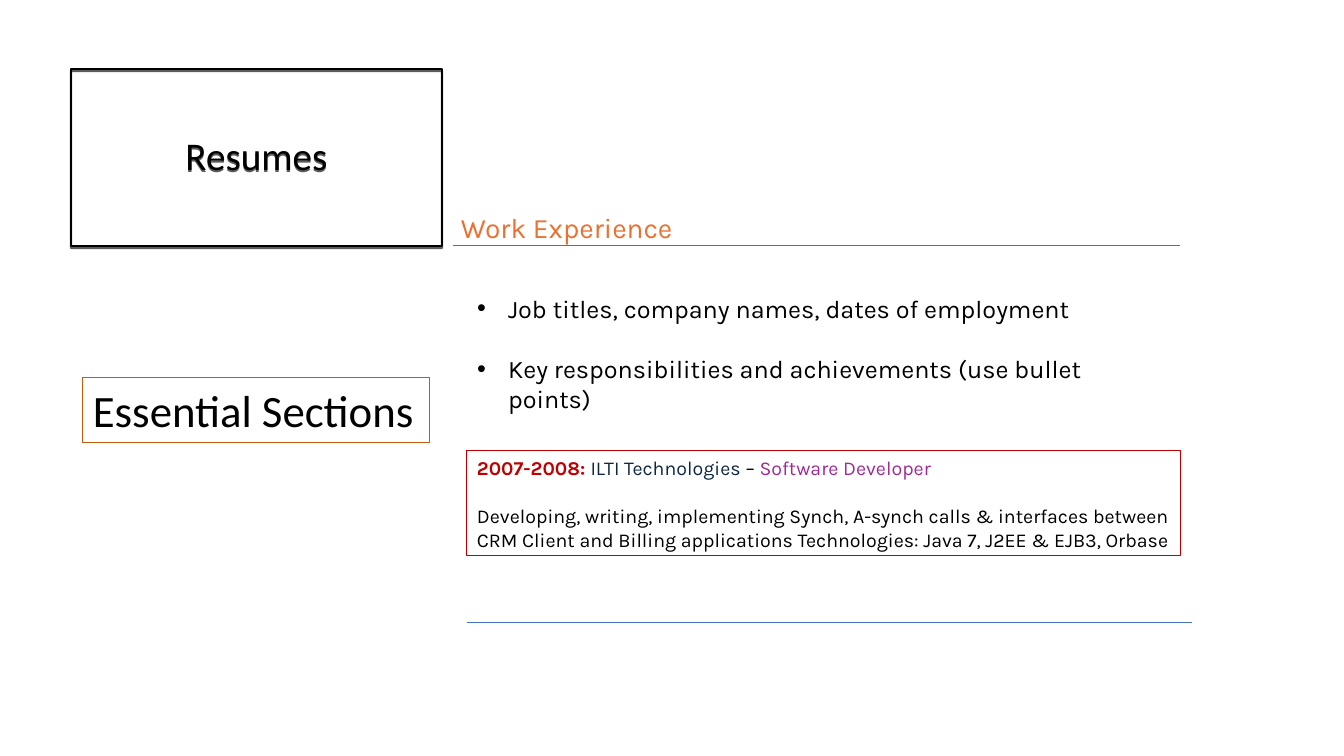
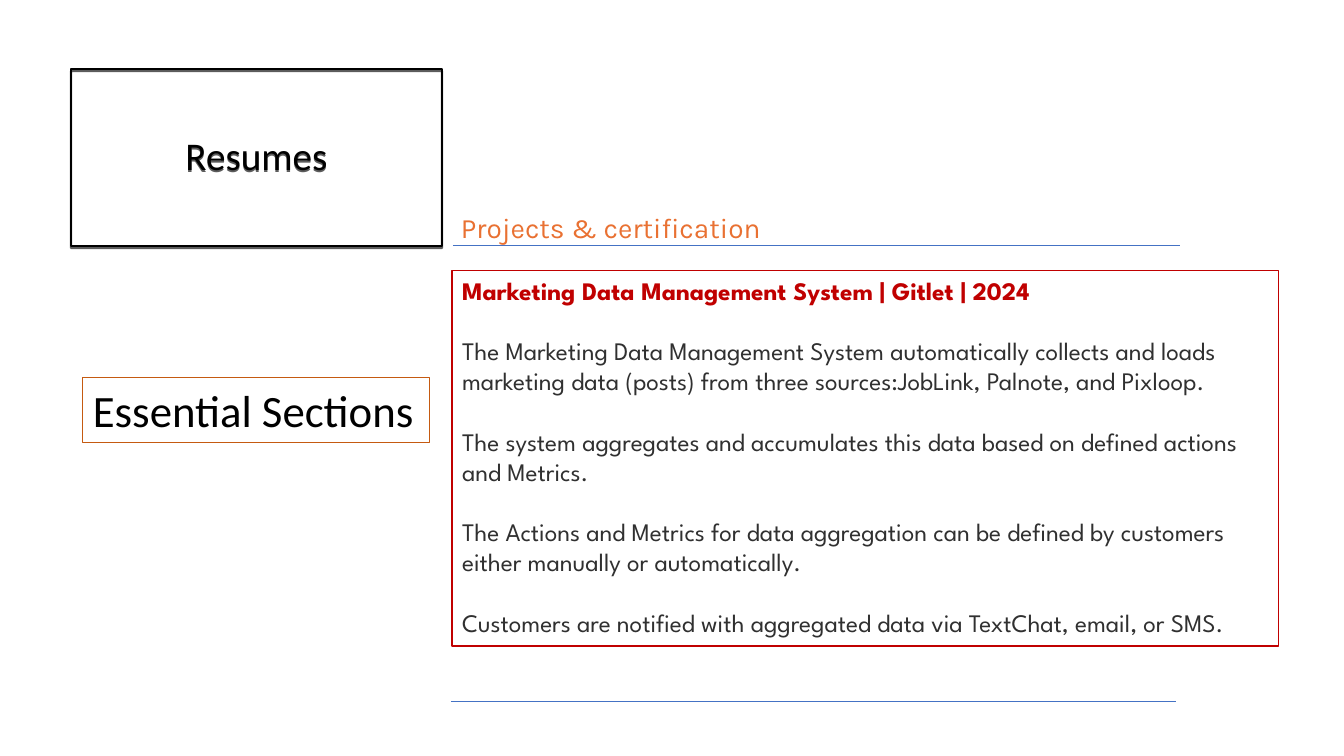
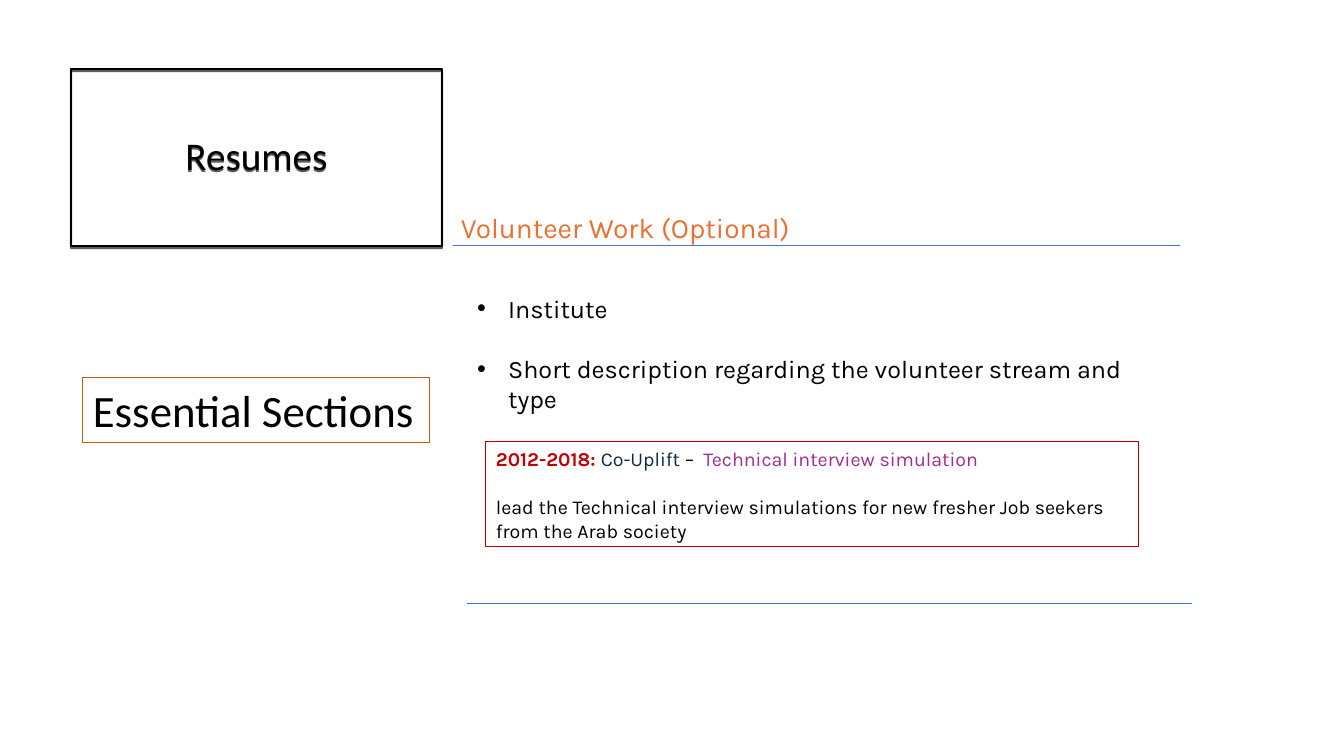
"""Builds three resume-section slides."""
from dataclasses import dataclass

from lxml import etree
from pptx import Presentation
from pptx import util as u
from pptx.dml.color import RGBColor
from pptx.enum import shapes, text
from pptx.oxml.ns import qn


@dataclass(frozen=True)
class Theme:
    """Colours, fonts and type sizes shared by the slides."""
    ink: str = "000000"
    soft: str = "303030"
    date: str = "C00000"
    firm: str = "0E2841"
    role: str = "A02B93"
    head: str = "E97132"
    label: str = "C55A11"
    rule: str = "4472C4"
    main: str = "Calibri"
    sans: str = "Karla"
    geo: str = "League Spartan"
    title: int = 28
    tag: int = 32
    top: int = 20
    body: int = 18
    note: int = 14


T = Theme()
TITLE = "Resumes"
TAG = "Essential Sections"
LIST = (467, 288, 685, 133)

SLIDES = [
    dict(
        head="Work Experience",
        points=["Job titles, company names, dates of employment",
                "Key responsibilities and achievements (use bullet points)"],
        note=[[("2007-2008: ", T.date), ("ILTI Technologies ", T.firm),
               ("– ", T.ink), ("Software Developer", T.role)],
              [("Developing, writing, implementing Synch, A-synch calls & "
                "interfaces between CRM Client and Billing applications "
                "Technologies: Java 7, J2EE & EJB3, Orbase", T.ink)]],
        box=(467, 451, 714, 105), end=(467, 622)),
    dict(
        head="Projects & certification",
        story=["Marketing Data Management System | Gitlet | 2024",
               "The Marketing Data Management System automatically collects "
               "and loads marketing data (posts) from three "
               "sources:JobLink, Palnote, and Pixloop.",
               "The system aggregates and accumulates this data based on "
               "defined actions and Metrics.",
               "The Actions and Metrics for data aggregation can be defined "
               "by customers either manually or automatically.",
               "Customers are notified with aggregated data via TextChat, "
               "email, or SMS."],
        box=(452, 270, 827, 376), end=(451, 701)),
    dict(
        head="Volunteer Work (Optional)",
        points=["Institute",
                "Short description regarding the volunteer stream and type"],
        note=[[("2012-2018: ", T.date), ("Co-Uplift ", T.firm),
               ("– ", T.ink), (" Technical interview simulation", T.role)],
              [("lead the Technical interview simulations for new fresher "
                "Job seekers from the Arab society", T.ink)]],
        box=(486, 442, 653, 105), end=(467, 603)),
]


def px(n):
    return u.Emu(round(n * 914400 / 100.8))


def rgb(tone):
    return RGBColor.from_string(tone)


def place(shape, box):
    shape.left, shape.top, shape.width, shape.height = map(px, box)


def stroke(shape, tone, width):
    shape.line.color.rgb = rgb(tone)
    shape.line.width = u.Pt(width)


def shade(shape):
    return etree.SubElement(shape._element.spPr, qn("a:effectLst"))


def mark(par, bullet):
    props = par._p.get_or_add_pPr()
    step = px(31) if bullet else 0
    props.set("marL", str(step))
    props.set("indent", str(-step))
    if bullet:
        etree.SubElement(props, qn("a:buFont"), typeface="Arial")
        etree.SubElement(props, qn("a:buChar"), char="•")
    else:
        etree.SubElement(props, qn("a:buNone"))


def write(shape, rows, font, size, gap=0, bullet=False, wrap=True):
    frame = shape.text_frame
    frame.auto_size = text.MSO_AUTO_SIZE.NONE
    frame.word_wrap = wrap
    for i, row in enumerate(rows):
        par = frame.add_paragraph() if i else frame.paragraphs[0]
        mark(par, bullet)
        par.space_before = u.Pt(gap if i else 0)
        par.font.name, par.font.size = font, u.Pt(size)
        for words, tone in row:
            run = par.add_run()
            run.text = words
            run.font.color.rgb = rgb(tone)
            run.font.bold = tone == T.date


def label(slide, box):
    return slide.shapes.add_textbox(*map(px, box))


def rule(slide, x, y, width=725):
    line = slide.shapes.add_connector(
        shapes.MSO_CONNECTOR.STRAIGHT, px(x), px(y), px(x + width), px(y))
    stroke(line, T.rule, 0.5)
    shade(line)


def common(slide, head, end):
    title = slide.shapes.title
    place(title, (71, 69, 371, 177))
    stroke(title, T.ink, 1.5)
    write(title, [[(TITLE, T.ink)]], T.main, T.title)
    title.text_frame.vertical_anchor = text.MSO_ANCHOR.MIDDLE
    par = title.text_frame.paragraphs[0]
    par.alignment, par.line_spacing = text.PP_ALIGN.CENTER, 0.9
    cast = etree.SubElement(shade(title), qn("a:outerShdw"), blurRad="0",
                            dist=str(u.Pt(1.5)), dir="5400000")
    tone = etree.SubElement(cast, qn("a:srgbClr"), val=T.ink)
    etree.SubElement(tone, qn("a:alpha"), val="63000")
    rule(slide, 453, 245, 727)
    rule(slide, *end)
    write(label(slide, (451, 206, 672, 44)), [[(head, T.head)]],
          T.sans, T.top)
    tag = label(slide, (83, 378, 347, 65))
    stroke(tag, T.label, 0.75)
    write(tag, [[(TAG, T.ink)]], T.main, T.tag, wrap=False)


def build(deck, data):
    slide = deck.slides.add_slide(deck.slide_layouts[1])
    common(slide, data["head"], data["end"])
    body = slide.placeholders[1]
    if "story" in data:
        frame = body
        place(body, data["box"])
        rows = [[(words, T.soft if i else T.date)]
                for i, words in enumerate(data["story"])]
        write(body, rows, T.geo, T.body, gap=21.5)
    else:
        place(body, LIST)
        write(body, [[(words, T.ink)] for words in data["points"]],
              T.sans, T.body, gap=21.5, bullet=True)
        frame = label(slide, data["box"])
        write(frame, data["note"], T.sans, T.note, gap=17.5)
    stroke(frame, T.date, 0.75)


def main():
    deck = Presentation()
    deck.slide_width, deck.slide_height = px(1344), px(756)
    for data in SLIDES:
        build(deck, data)
    deck.save("out.pptx")


if __name__ == "__main__":
    main()
